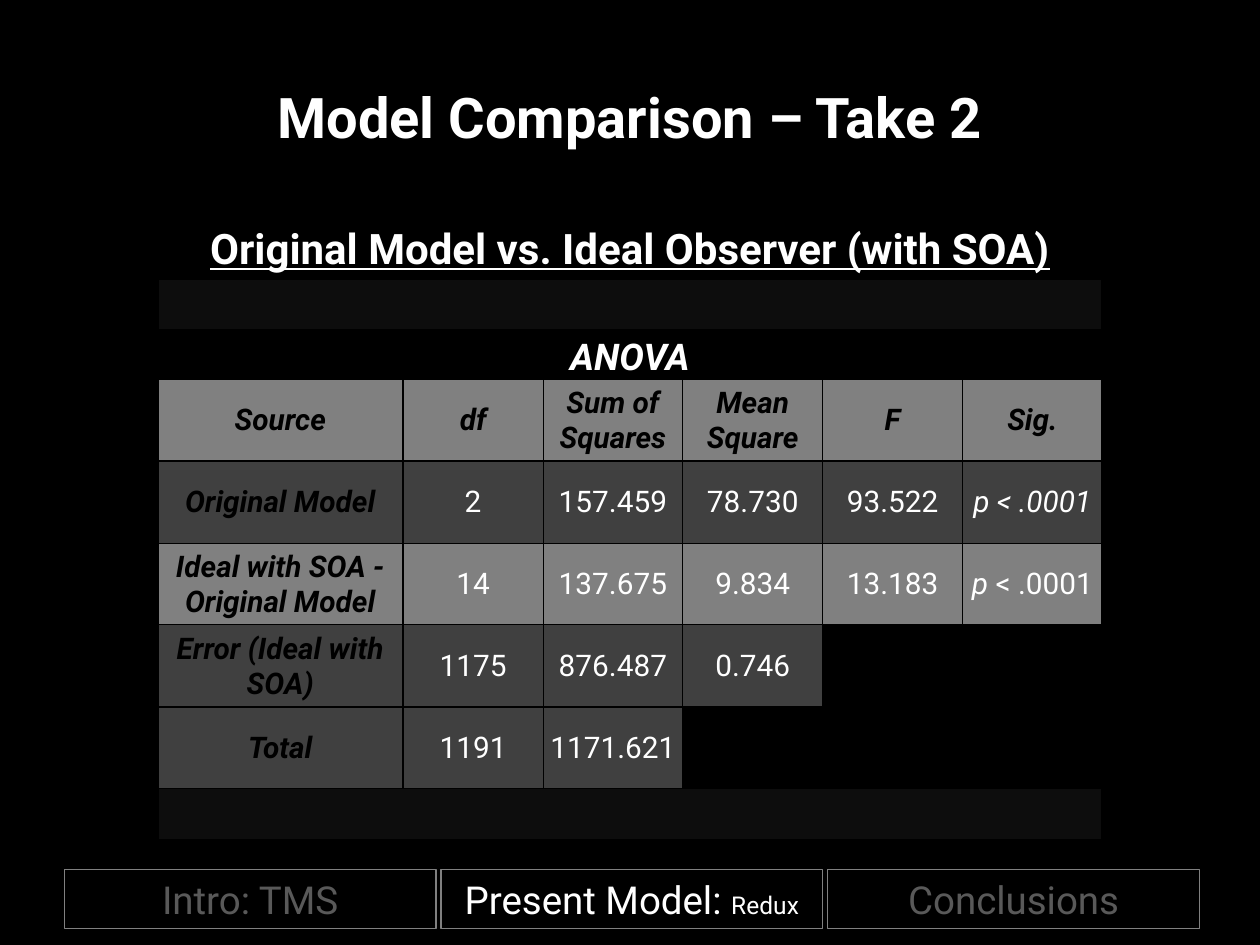
from dataclasses import dataclass
from typing import NamedTuple

from lxml.etree import SubElement as Sub
from pptx import Presentation
from pptx.dml.color import RGBColor as RGB
from pptx.enum.shapes import MSO_SHAPE as Shape
from pptx.enum.text import MSO_ANCHOR as Anchor, MSO_AUTO_SIZE as Fit, PP_ALIGN as Align
from pptx.oxml.ns import qn
from pptx.util import Inches, Pt


@dataclass(frozen=True)
class Theme:
    font: str = "Roboto"
    black: str = "000000"
    white: str = "FFFFFF"
    band: str = "0D0D0D"
    dark: str = "404040"
    gray: str = "808080"
    dim: str = "595959"
    title: int = 32
    head: int = 24
    sub: int = 21
    cell: int = 17
    tab: int = 22
    note: int = 14


class Run(NamedTuple):
    text: str
    style: dict = {}


class Row(NamedTuple):
    fill: str
    label: str
    data: list


class Tab(NamedTuple):
    left: float
    width: float
    runs: list
    color: str


T = Theme()
LABEL = dict(size=T.cell, color=T.black, bold=True, italic=True)
VALUE = dict(size=T.cell, color=T.white)
SLANT = {"italic": True}

COLS = [0.12, 1.95] + [1.11] * 5 + [0.12]
ROWS = [0.46, 0.41, 0.39] + [0.65] * 5 + [0.41]
ACROSS = [1.5, 1.5, 1.5, 1, 1, 0.5, 0.5, 1, 1, 1.5]
DOWN = [1.5, 1.5, 1, 0.5, 0.5, 0.5, 0.5, 1.5, 1.5]
BANDS = (1, 8)
SPANS = (0, 2)
LAST = len(COLS) - 1

HEADS = ["Source", "df", "Sum of Squares", "Mean Square", "F", "Sig."]
BODY = [
    Row(T.dark, "Original Model",
        ["2", "157.459", "78.730", "93.522", [Run("p < .0001", SLANT)]]),
    Row(T.gray, "Ideal with SOA - Original Model",
        ["14", "137.675", "9.834", "13.183", [Run("p", SLANT), Run(" < .0001")]]),
    Row(T.dark, "Error (Ideal with SOA)", ["1175", "876.487", "0.746"]),
    Row(T.dark, "Total", ["1191", "1171.621"]),
]
TABS = [
    Tab(0.51, 2.95, [Run("Intro: TMS")], T.dim),
    Tab(6.57, 2.95, [Run("Conclusions")], T.dim),
    Tab(3.5, 3.03, [Run("Present Model: "), Run("Redux", {"size": T.note})], T.white),
]


def write(frame, text: str | list, **style) -> None:
    para = frame.paragraphs[0]
    para.alignment = Align.CENTER
    for part in [Run(text)] if isinstance(text, str) else text:
        look = {**style, **part.style}
        run = para.add_run()
        run.text = part.text
        font = run.font
        font.name = T.font
        font.size = Pt(look["size"])
        font.color.rgb = RGB.from_string(look["color"])
        font.bold = look.get("bold", False)
        font.italic = look.get("italic", False)
        font.underline = look.get("under", False)


def edge(cell, side: str, width: float) -> None:
    line = Sub(cell._tc.get_or_add_tcPr(), qn(f"a:ln{side}"), w=str(Pt(width)))
    if width:
        fill = Sub(line, qn("a:solidFill"))
        Sub(fill, qn("a:srgbClr"), val=T.black)
    else:
        Sub(line, qn("a:noFill"))


def frame_cell(cell, row: int, col: int) -> None:
    rim = col in (0, LAST)

    def down(num: int) -> float:
        plain = row in BANDS + SPANS and 1 < num < LAST
        return 0 if plain else DOWN[num]

    def across(num: int) -> float:
        return 0 if rim and 0 < num < len(ROWS) else ACROSS[num]

    edge(cell, "L", down(col))
    edge(cell, "R", down(col + 1))
    edge(cell, "T", across(row))
    edge(cell, "B", across(row + 1))


def paint(cell, color: str) -> None:
    cell.fill.solid()
    cell.fill.fore_color.rgb = RGB.from_string(color)


def add_anova(slide) -> None:
    grid = slide.shapes.add_table(
        len(ROWS), len(COLS), Inches(1.13), Inches(1.75),
        Inches(sum(COLS)), Inches(sum(ROWS))).table
    grid.first_row = grid.horz_banding = False
    for col, size in zip(grid.columns, COLS):
        col.width = Inches(size)
    for row, size in zip(grid.rows, ROWS):
        row.height = Inches(size)
    for row in range(len(ROWS)):
        for col in range(len(COLS)):
            cell = grid.cell(row, col)
            cell.margin_left = cell.margin_right = cell.margin_top = Inches(0.01)
            cell.margin_bottom = 0
            cell.vertical_anchor = Anchor.MIDDLE
            frame_cell(cell, row, col)
            paint(cell, T.band if row in BANDS and 0 < col < LAST else T.black)
    for row in SPANS:
        grid.cell(row, 1).merge(grid.cell(row, LAST - 1))
    write(grid.cell(0, 1).text_frame, "Original Model vs. Ideal Observer (with SOA)",
          size=T.head, color=T.white, bold=True, under=True)
    name = grid.cell(2, 1)
    name.vertical_anchor = Anchor.BOTTOM
    write(name.text_frame, "ANOVA", size=T.sub, color=T.white, bold=True, italic=True)
    for col, text in enumerate(HEADS, 1):
        paint(grid.cell(3, col), T.gray)
        write(grid.cell(3, col).text_frame, text, **LABEL)
    for num, row in enumerate(BODY, 4):
        for col, text in enumerate([row.label, *row.data], 1):
            paint(grid.cell(num, col), row.fill)
            write(grid.cell(num, col).text_frame, text, **(LABEL if col == 1 else VALUE))


def add_tab(slide, tab: Tab) -> None:
    box = slide.shapes.add_shape(
        Shape.RECTANGLE, Inches(tab.left), Inches(6.9), Inches(tab.width), Inches(0.47))
    box.shadow.inherit = False
    box.fill.background()
    box.line.color.rgb = RGB.from_string(T.gray)
    box.line.width = Pt(0.75)
    box.text_frame.word_wrap = True
    box.text_frame.auto_size = Fit.SHAPE_TO_FIT_TEXT
    write(box.text_frame, tab.runs, size=T.tab, color=tab.color)


def main() -> None:
    deck = Presentation()
    deck.slide_width, deck.slide_height = Inches(10), Inches(7.5)
    slide = deck.slides.add_slide(deck.slide_layouts[5])
    slide.background.fill.solid()
    slide.background.fill.fore_color.rgb = RGB.from_string(T.black)
    title = slide.shapes.title
    title.left, title.top = Inches(0.5), Inches(0.3)
    title.width, title.height = Inches(9), Inches(1.25)
    title.text_frame.vertical_anchor = Anchor.MIDDLE
    write(title.text_frame, "Model Comparison – Take 2",
          size=T.title, color=T.white, bold=True)
    for tab in TABS[:2]:
        add_tab(slide, tab)
    add_anova(slide)
    add_tab(slide, TABS[2])
    deck.save("out.pptx")


if __name__ == "__main__":
    main()
